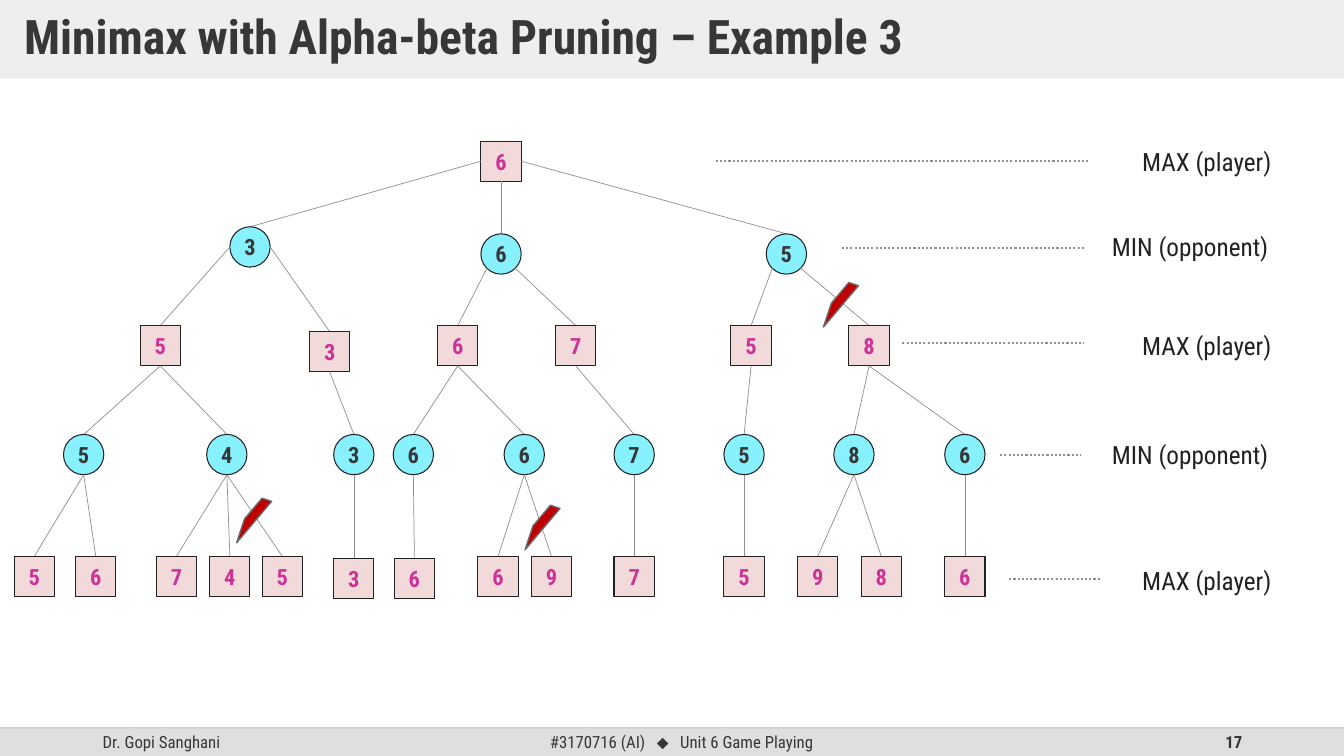
"""Build a slide with a minimax game tree and its alpha-beta cut-offs."""
from dataclasses import dataclass

from lxml.etree import SubElement
from pptx import Presentation
from pptx.dml.color import RGBColor
from pptx.enum.dml import MSO_LINE
from pptx.enum.shapes import MSO_CONNECTOR, MSO_SHAPE
from pptx.enum.text import MSO_ANCHOR, PP_ALIGN
from pptx.oxml.ns import qn
from pptx.util import Inches, Pt


@dataclass(frozen=True)
class Theme:
    font: str = "Roboto Condensed"
    symbol_font: str = "Arial"
    dark: str = "373737"
    ink: str = "212121"
    band: str = "DFDFDF"
    rule: str = "BFBFBF"
    edge: str = "909090"
    max_fill: str = "F1DAD9"
    max_text: str = "CC3399"
    min_fill: str = "87F1FF"
    cut_fill: str = "C00000"
    cut_line: str = "6B6B6B"
    title_size: int = 34
    label_size: int = 18
    node_size: int = 16
    footer_size: int = 12


T = Theme()
prs = Presentation()
prs.slide_width, prs.slide_height = Inches(13.33), Inches(7.5)
s = prs.slides.add_slide(prs.slide_layouts[6])


def add_box(kind, at, text="", size=T.footer_size, color=T.dark, bold=False,
            align=PP_ALIGN.LEFT, fill=None, line=None, width=0.75):
    """Add a preset shape, or a text box when kind is None."""
    at = [Inches(v) for v in at]
    if kind is None:
        sp = s.shapes.add_textbox(*at)
    else:
        sp = s.shapes.add_shape(kind, *at)
        sp.shadow.inherit = False
        sp.fill.solid()
        sp.fill.fore_color.rgb = RGBColor.from_string(fill)
        if line:
            sp.line.color.rgb = RGBColor.from_string(line)
            sp.line.width = Pt(width)
        else:
            sp.line.fill.background()
    tf = sp.text_frame
    tf.word_wrap = True
    tf.vertical_anchor = MSO_ANCHOR.MIDDLE
    p = tf.paragraphs[0]
    p.text = text
    p.alignment = align
    p.font.name, p.font.size, p.font.bold = T.font, Pt(size), bold
    p.font.color.rgb = RGBColor.from_string(color)
    return sp


def add_line(x1, y1, x2, y2, color=T.edge, width=0.5, dash=None):
    """Add a straight line without a shadow."""
    ln = s.shapes.add_connector(MSO_CONNECTOR.STRAIGHT, *[Inches(v) for v in (x1, y1, x2, y2)])
    ln.line.color.rgb = RGBColor.from_string(color)
    ln.line.width = Pt(width)
    if dash:
        ln.line.dash_style = dash
    SubElement(ln.element.spPr, qn("a:effectLst"))
    return ln


add_box(MSO_SHAPE.RECTANGLE, (0, 7.22, 13.33, 0.28), fill=T.band)
add_box(None, (0.92, 7.22, 3, 0.28), "Dr. Gopi Sanghani")
add_box(None, (9.42, 7.22, 3, 0.28), "17", bold=True, align=PP_ALIGN.RIGHT)
course = add_box(None, (4.42, 7.22, 4.68, 0.28), align=PP_ALIGN.CENTER)
p = course.text_frame.paragraphs[0]
for text in ("#3170716 (AI)", " ", "⬥", " ", "Unit 6 Game Playing"):
    r = p.add_run()
    r.text = text
    r.font.name = T.symbol_font if text == "⬥" else T.font
    if text == " ":
        r.font._element.set("spc", "540")
footer_rule = add_line(0, 7.22, 13.33, 7.22, T.rule, 1)

title = add_box(MSO_SHAPE.RECTANGLE, (0, 0, 13.33, 0.78), "Minimax with Alpha-beta Pruning – Example 3",
                T.title_size, bold=True, fill=T.band)
tf = title.text_frame
tf.margin_left = tf.margin_right = Inches(0.24)
tf.margin_top = tf.margin_bottom = Inches(0.12)
tf.paragraphs[0].line_spacing = 0.9

for sp, opacity in ((title, 50000), (footer_rule, 70000)):
    for clr in sp.element.spPr.iter(qn("a:srgbClr")):
        SubElement(clr, qn("a:alpha"), val=str(opacity))

NODE = 0.4
HALF = NODE / 2
EXITS = {"bottom": (HALF, NODE), "left": (0, HALF), "right": (NODE, HALF),
         "lower left": (0.06, 0.34), "lower right": (0.34, 0.34)}

# Each node: left, top, value, index of its parent in the level above, exit side of the parent.
levels = [
    [(4.77, 1.4, 6, None, None)],
    [(2.28, 2.25, 3, 0, "left"), (4.77, 2.32, 6, 0, "bottom"), (7.6, 2.32, 5, 0, "right")],
    [(1.39, 3.23, 5, 0, "left"), (3.07, 3.29, 3, 0, "right"),
     (4.34, 3.23, 6, 1, "lower left"), (5.51, 3.23, 7, 1, "lower right"),
     (7.25, 3.23, 5, 2, "lower left"), (8.42, 3.23, 8, 2, "lower right")],
    [(left, 4.31, value, parent, "bottom") for left, value, parent in (
        (0.63, 5, 0), (2.05, 4, 0), (3.31, 3, 1), (3.9, 6, 2), (5, 6, 2),
        (6.09, 7, 3), (7.18, 5, 4), (8.27, 8, 5), (9.37, 6, 5))],
    [(left, top, value, parent, "bottom") for left, top, value, parent in (
        (0.14, 5.52, 5, 0), (0.75, 5.52, 6, 0), (1.55, 5.52, 7, 1), (2.08, 5.52, 4, 1),
        (2.6, 5.52, 5, 1), (3.31, 5.54, 3, 2), (3.91, 5.54, 6, 3), (4.74, 5.52, 6, 4),
        (5.27, 5.52, 9, 4), (6.09, 5.52, 7, 5), (7.18, 5.52, 5, 6), (7.91, 5.52, 9, 7),
        (8.54, 5.52, 8, 7), (9.37, 5.52, 6, 8))],
]
for depth, nodes in enumerate(levels):
    if depth % 2:
        kind, fill, color = MSO_SHAPE.OVAL, T.min_fill, T.dark
    else:
        kind, fill, color = MSO_SHAPE.RECTANGLE, T.max_fill, T.max_text
    for left, top, value, parent, side in nodes:
        if parent is not None:
            px, py = levels[depth - 1][parent][:2]
            dx, dy = EXITS[side]
            add_line(px + dx, py + dy, left + HALF, top)
        node = add_box(kind, (left, top, NODE, NODE), str(value), T.node_size, color, True,
                       PP_ALIGN.CENTER, fill, T.ink)
        node.text_frame.word_wrap = False

guides = [(1.4, 7.1, 10.8, 1.6), (2.25, 8.35, 10.75, 2.46), (3.23, 8.95, 10.75, 3.4),
          (4.31, 9.92, 10.72, 4.51), (5.56, 10.01, 10.91, 5.74)]
for depth, (top, start, end, y) in enumerate(guides):
    text, left, width = ("MIN (opponent)", 10.93, 1.8) if depth % 2 else ("MAX (player)", 11.23, 1.5)
    label = add_box(None, (left, top, width, 0.4), text, T.label_size, T.ink)
    label.text_frame.vertical_anchor = MSO_ANCHOR.TOP
    add_line(start, y, end, y, width=1.5, dash=MSO_LINE.ROUND_DOT)

for left, top in ((2.27, 5.08), (5.13, 5.15), (8.09, 2.94)):
    cut = add_box(MSO_SHAPE.DIAGONAL_STRIPE, (left, top, 0.5, 0.2), fill=T.cut_fill,
                  line=T.cut_line, width=1)
    cut.rotation = 288.4
    cut.element.spPr.xfrm.set("flipH", "1")

prs.save("out.pptx")
